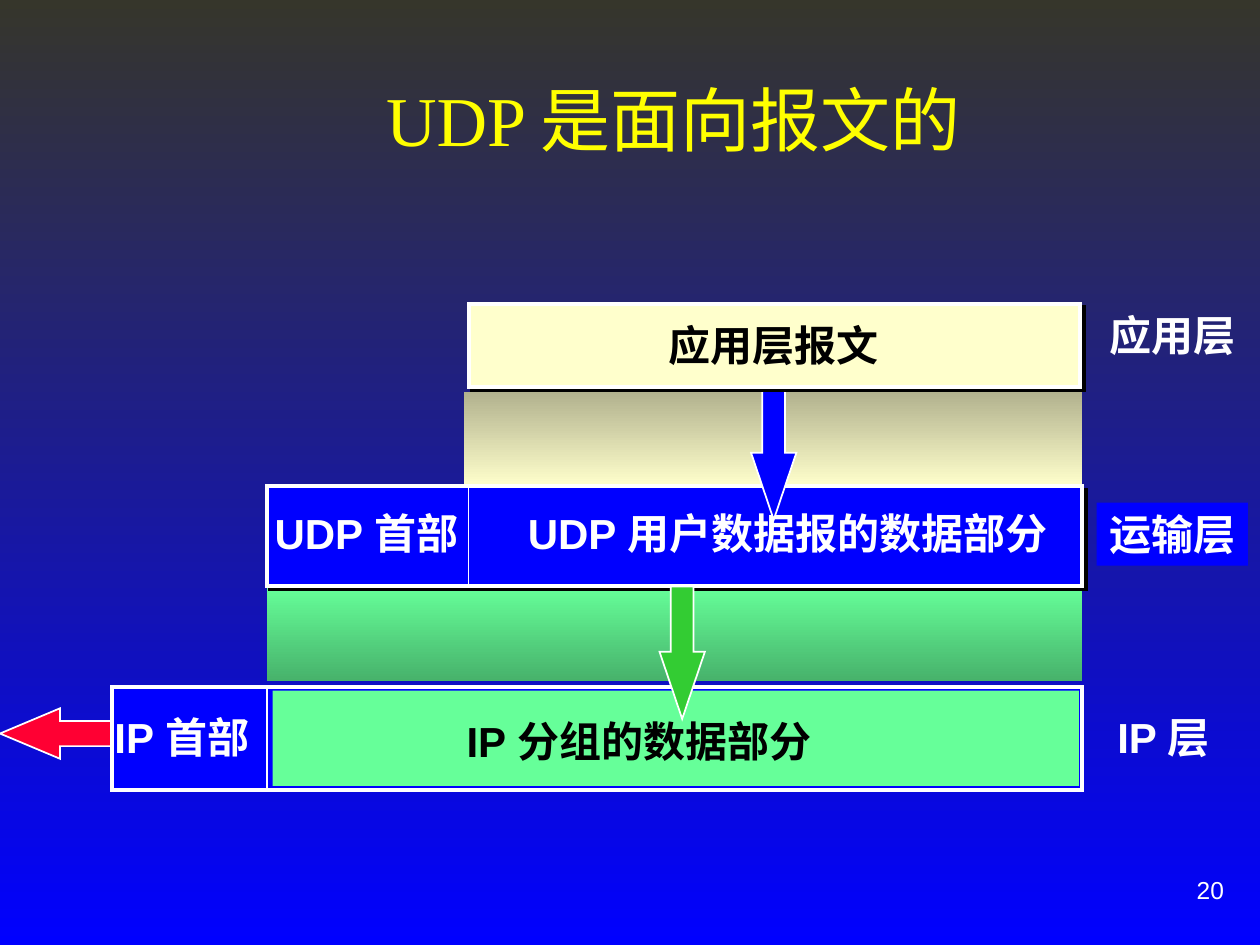
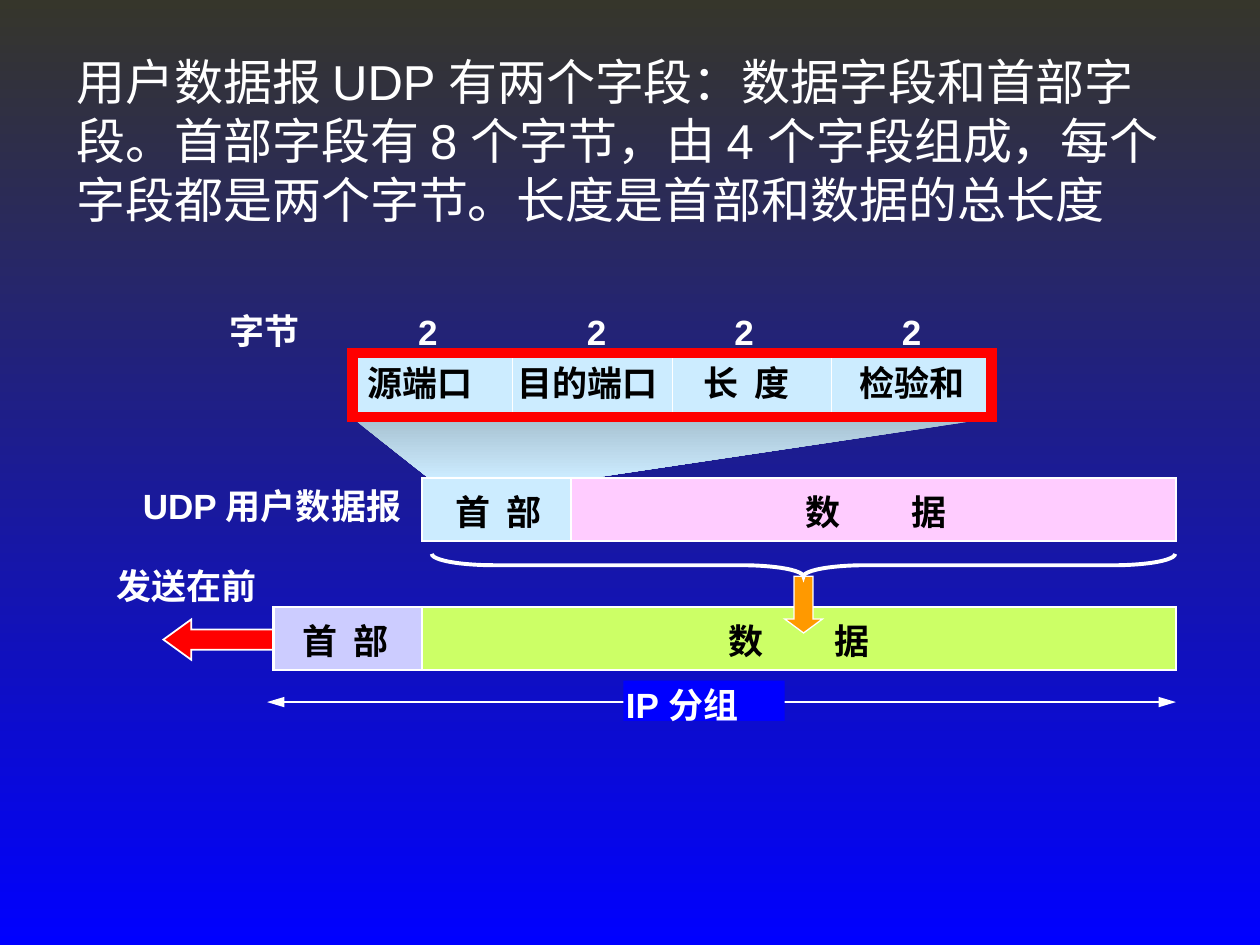
from dataclasses import dataclass
from typing import Any, Optional

from lxml import etree
from pptx import Presentation
from pptx.dml.color import RGBColor
from pptx.enum.shapes import MSO_CONNECTOR, MSO_SHAPE
from pptx.enum.text import MSO_ANCHOR, PP_ALIGN
from pptx.oxml.ns import qn
from pptx.util import Pt

RECT = MSO_SHAPE.RECTANGLE
LEFT_ARROW = MSO_SHAPE.LEFT_ARROW
DOWN_ARROW = MSO_SHAPE.DOWN_ARROW
RIGHT_BRACE = MSO_SHAPE.RIGHT_BRACE
STRAIGHT = MSO_CONNECTOR.STRAIGHT
LEFT, CENTER, RIGHT = PP_ALIGN.LEFT, PP_ALIGN.CENTER, PP_ALIGN.RIGHT
TOP, MIDDLE = MSO_ANCHOR.TOP, MSO_ANCHOR.MIDDLE

COLORS = {
    "sky": "36362B", "blue": "0000FF", "white": "FFFFFF", "black": "000000",
    "yellow": "FFFF00", "crimson": "FF0033", "red": "FF0000",
    "mint": "66FF99", "mint_dark": "47B26B", "green": "33CC33",
    "cream": "FFFFCC", "cream_dark": "B2B28E", "lavender": "CCCCFF",
    "ice": "CCECFF", "ice_dark": "A7C1D1", "lime": "CCFF66",
    "orange": "FF9900", "pink": "FFCCFF",
}
TITLE = {"size": Pt(40), "name": "Times New Roman", "bold": False}
BODY = {"size": Pt(28), "name": "Arial", "bold": False}
NUMBER = {"size": Pt(14), "name": "Arial", "bold": False}
LAYER = {"size": Pt(24), "name": "Arial", "bold": True}
FIELD = {"size": Pt(20), "name": "Arial", "bold": True}
NARROW_GAP, WIDE_GAP = 29.1, 60.6


@dataclass
class Panel:
    left: float
    top: float
    width: float
    height: float
    fill: Optional[str] = None
    fade_to: Optional[str] = None
    line: Optional[float] = None
    line_color: str = "white"
    shadow: bool = False
    kind: Any = RECT
    adjust: tuple[float, ...] = ()
    rotation: float = 0


@dataclass
class Label:
    text: str
    left: float
    top: float
    width: float
    color: str = "white"
    height: float = 32
    gap: Optional[float] = None
    align: Any = LEFT
    anchor: Any = TOP
    wrap: bool = False


def rgb(color: str) -> RGBColor:
    return RGBColor.from_string(COLORS[color])


def apply(target: Any, values: dict[str, Any]) -> None:
    for name, value in values.items():
        setattr(target, name, value)


def paint(fill: Any, start: Optional[str], end: Optional[str] = None) -> None:
    if start is None:
        fill.background()
    elif end is None:
        fill.solid()
        fill.fore_color.rgb = rgb(start)
    else:
        fill.gradient()
        fill.gradient_angle = 270
        for stop, color in zip(fill.gradient_stops, (start, end)):
            stop.color.rgb = rgb(color)


def cast_shadow(shape: Any) -> None:
    effects = shape._element.spPr.find(qn("a:effectLst"))
    outer = etree.SubElement(effects, qn("a:outerShdw"), dist=str(Pt(2.8)),
                             dir="2700000", algn="ctr", rotWithShape="0")
    etree.SubElement(outer, qn("a:srgbClr"), val=COLORS["black"])


def draw_panel(slide: Any, panel: Panel) -> None:
    shape = slide.shapes.add_shape(panel.kind, Pt(panel.left), Pt(panel.top),
                                   Pt(panel.width), Pt(panel.height))
    shape.rotation = panel.rotation
    for index, value in enumerate(panel.adjust):
        shape.adjustments[index] = value
    paint(shape.fill, panel.fill, panel.fade_to)
    paint(shape.line.fill, panel.line_color if panel.line else None)
    if panel.line:
        shape.line.width = Pt(panel.line)
        etree.SubElement(shape.line._get_or_add_ln(), qn("a:miter"),
                         lim="800000")
    shape.shadow.inherit = False
    if panel.shadow:
        cast_shadow(shape)


def draw_label(slide: Any, label: Label, style: dict[str, Any]) -> None:
    box = slide.shapes.add_textbox(Pt(label.left), Pt(label.top),
                                   Pt(label.width), Pt(label.height))
    apply(box.text_frame, {"word_wrap": label.wrap,
                           "vertical_anchor": label.anchor})
    paragraph = box.text_frame.paragraphs[0]
    paragraph.text = label.text
    paragraph.alignment = label.align
    if label.gap:
        tabs = etree.SubElement(paragraph._p.get_or_add_pPr(), qn("a:tabLst"))
        etree.SubElement(tabs, qn("a:tab"), pos=str(Pt(label.gap)), algn="l")
    font = paragraph.runs[0].font
    apply(font, style)
    font.color.rgb = rgb(label.color)


def draw_line(slide: Any, start: tuple[float, float], end: tuple[float, float],
              weight: float, arrows: bool = False) -> None:
    line = slide.shapes.add_connector(STRAIGHT, *map(Pt, start + end))
    line.line.width = Pt(weight)
    line.line.color.rgb = rgb("white")
    if arrows:
        for side in ("a:headEnd", "a:tailEnd"):
            etree.SubElement(line.line._get_or_add_ln(), qn(side),
                             type="triangle", w="med", len="lg")
    etree.SubElement(line._element.spPr, qn("a:effectLst"))


def draw_all(slide: Any, panels: list[Panel]) -> None:
    for panel in panels:
        draw_panel(slide, panel)


def label_all(slide: Any, labels: list[Label], style: dict[str, Any]) -> None:
    for label in labels:
        draw_label(slide, label, style)


def build_encapsulation(slide: Any) -> None:
    udp_left, udp_top, udp_height = 152.6, 277.9, 56.9
    ip_top, ip_height = 392.4, 59
    right = 618.5
    udp_width = right - udp_left

    draw_label(slide, Label("20", 515.7, 490.3, 190.8, height=36,
                            align=RIGHT, anchor=MIDDLE), NUMBER)
    draw_label(slide, Label("UDP 是面向报文的", 80.5, 23, 608.4, "yellow", 90,
                            align=CENTER, anchor=MIDDLE, wrap=True), TITLE)
    draw_all(slide, [
        Panel(0, 404.8, 67.7, 28.8, "crimson", line=1, kind=LEFT_ARROW,
              adjust=(0.5, 1.19)),
        Panel(udp_left, 334.8, udp_width, 54.5, "mint", "mint_dark"),
        Panel(265, 223.9, right - 265, 54, "cream_dark", "cream"),
        Panel(udp_left, udp_top, udp_width, udp_height, "blue", line=2.25,
              shadow=True),
        Panel(64.1, ip_top, right - 64.1, ip_height, "blue", line=2.25),
        Panel(155.8, 394.6, 460.8, 54.5, "mint"),
        Panel(626.7, 287.3, 86.4, 36, "blue"),
    ])
    label_all(slide, [
        Label("IP 分组的数据部分", 259.5, 405.4, 217.4, "black"),
        Label("IP 首部", 58.3, 403.2, 97.2),
        Label("IP 层", 631.4, 403.2, 73.4),
        Label("UDP 首部", 149.8, 286.6, 125.3),
        Label("UDP 用户数据报的数据部分", 294.5, 286.6, 317.5),
        Label("运输层", 626.7, 287.3, 90),
        Label("应用层", 626.7, 173.5, 90),
    ], LAYER)
    for x, top, height in ((267.8, udp_top, udp_height),
                           (udp_left, ip_top, ip_height)):
        draw_line(slide, (x, top), (x, top + height), 1)
    for left, top, color in ((376.9, 335.2, "green"), (429.2, 221.4, "blue")):
        draw_panel(slide, Panel(left, top, 25.9, 75.6, color, line=1,
                                kind=DOWN_ARROW, adjust=(0.5, 1.48)))
    draw_panel(slide, Panel(267.8, 173.5, 349.5, 47.5, "cream", line=2.25,
                            shadow=True))
    draw_label(slide, Label("应用层报文", 267.8, 173.5, 348.5, "black", 47.5,
                            align=CENTER, anchor=MIDDLE), LAYER)


def build_datagram(slide: Any) -> None:
    row = 36
    fields_left, fields_top, fields_width = 201.6, 203, 365
    udp_left, udp_top, ip_top = 241.2, 273.2, 347
    header_width, right = 85, 672
    fields = [("源端口", 203, 80, None, 231.8),
              ("目的端口", 288.7, 100, None, 328.3),
              ("长\t度", 395, 66, NARROW_GAP, 412.6),
              ("检验和", 484.2, 80, None, 508.3)]

    draw_label(slide, Label(
        "用户数据报 UDP 有两个字段：数据字段和首部字段。首部字段有 8 个字节，"
        "由 4 个字段组成，每个字段都是两个字节。长度是首部和数据的总长度",
        36.7, 26.2, 640.8, height=108, wrap=True), BODY)

    builder = slide.shapes.build_freeform(Pt(fields_left), Pt(239))
    builder.add_line_segments([(Pt(x), Pt(y)) for x, y in (
        (566.6, 239), (334.8, 273.6), (244.8, 273))])
    zoom = builder.convert_to_shape()
    paint(zoom.fill, "ice_dark", "ice")
    zoom.line.fill.background()
    zoom.shadow.inherit = False

    draw_all(slide, [
        Panel(udp_left - header_width, ip_top, header_width, row, "lavender",
              line=1.5),
        Panel(udp_left, udp_top, header_width, row, "ice", line=1),
        Panel(93.4, 354, 62.6, 23, "red", line=1, kind=LEFT_ARROW,
              adjust=(0.5, 0.69)),
        Panel(fields_left, fields_top, fields_width, row, "ice", line=1.5),
        Panel(udp_left, ip_top, right - udp_left, row, "lime", line=1.5),
        Panel(udp_left + header_width, udp_top,
              right - udp_left - header_width, row, "pink", line=1),
    ])
    for index in range(1, len(fields)):
        x = fields_left + index * fields_width / len(fields)
        draw_line(slide, (x, fields_top), (x, fields_top + row), 0.75)
    draw_line(slide, (152.6, 401.2), (right, 401.2), 0.75, arrows=True)
    draw_panel(slide, Panel(356.2, 389, 92.2, 23, "blue"))

    for name, left, width, gap, count_left in fields:
        draw_label(slide, Label(name, left, fields_top, width, "black",
                                gap=gap, wrap=gap is not None), FIELD)
        draw_label(slide, Label("2", count_left, 173.9, 25.2), FIELD)
    for text, left, top, gap in (("数\t据", 409, 350.6, WIDE_GAP),
                                 ("首\t部", 165.6, 350.6, NARROW_GAP),
                                 ("数\t据", 453.2, 276.5, WIDE_GAP),
                                 ("首\t部", 253.4, 276.5, NARROW_GAP)):
        draw_label(slide, Label(text, left, top, gap + 37, "black", gap=gap,
                                wrap=True), FIELD)
    label_all(slide, [
        Label("IP 分组", 350.6, 387.2, 83.5),
        Label("字节", 124.2, 173.5, 60),
        Label("发送在前", 59.4, 319, 100),
        Label("UDP 用户数据报", 74.5, 273.3, 167),
    ], FIELD)

    draw_all(slide, [
        Panel(448.4, 329.3, 21.6, 32.4, "orange", line=0.75, kind=DOWN_ARROW,
              adjust=(0.5, 0.37)),
        Panel(452.6, 110.6, 13, 424.8, line=2.25, kind=RIGHT_BRACE,
              adjust=(2.72, 0.5), rotation=90),
        Panel(fields_left, 201.6, fields_width, 36.7, line=6,
              line_color="red"),
    ])


def main() -> None:
    presentation = Presentation()
    apply(presentation, {"slide_width": Pt(720), "slide_height": Pt(540)})
    paint(presentation.slide_master.background.fill, "sky", "blue")
    blank = presentation.slide_layouts[6]
    for build in (build_encapsulation, build_datagram):
        build(presentation.slides.add_slide(blank))
    presentation.save("out.pptx")


if __name__ == "__main__":
    main()
